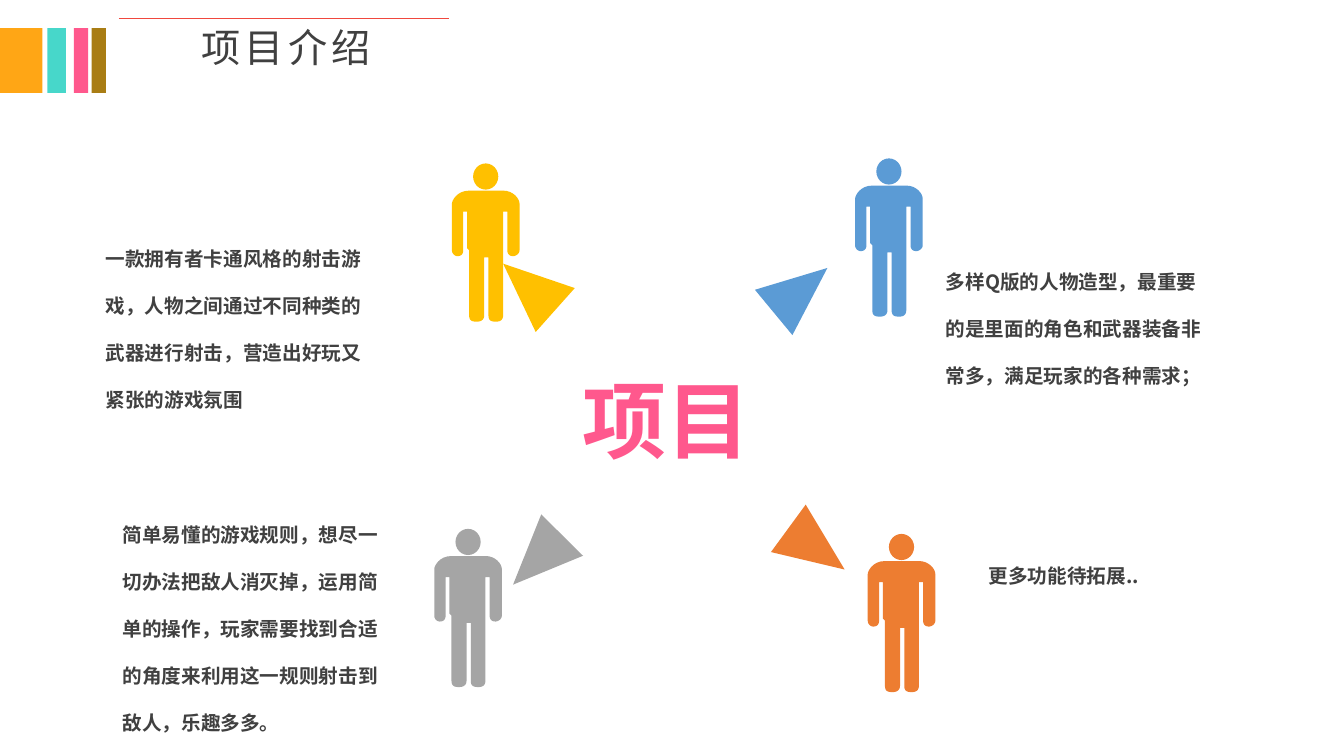
from dataclasses import dataclass

from lxml import etree
from pptx import Presentation
from pptx import util as u
from pptx.dml.color import RGBColor
from pptx.enum import shapes, text
from pptx.oxml.ns import qn
from pptx.shapes.autoshape import Shape
from pptx.slide import Slide

# The slide is a grid of 160 columns by 90 rows of square cells.
SLIDE_WIDTH, SLIDE_HEIGHT = u.Inches(13.33), u.Inches(7.5)
COLUMNS, ROWS = 160, 90


@dataclass(frozen=True)
class Theme:
    ink: str = "404040"
    pink: str = "FF588D"
    amber: str = "FFA615"
    teal: str = "47D7CA"
    brown: str = "A97D14"
    rule: str = "F0483E"
    yellow: str = "FFC000"
    gray: str = "A5A5A5"
    blue: str = "5B9BD5"
    orange: str = "ED7D31"
    title_size: float = 28
    center_size: float = 60
    body_size: float = 14
    body_leading: float = 33.6
    title_tracking: float = 3
    title_font: str = "Noto Sans CJK SC"
    body_font: str = "Noto Sans CJK JP"
    center_font: str = "Calibri"


@dataclass(frozen=True)
class Box:
    column: float
    row: float
    columns: float
    rows: float

    def lengths(self) -> tuple[int, int, int, int]:
        return across(self.column), down(self.row), across(self.columns), down(self.rows)


@dataclass(frozen=True)
class Stripe:
    column: float
    columns: float
    color: str


@dataclass(frozen=True)
class Label:
    wording: str
    box: Box
    size: float
    font: str
    color: str
    bold: bool = True
    centered: bool = False
    leading: float | None = None
    tracking: float = 0


@dataclass(frozen=True)
class Feature:
    """A person, the triangle beside it, and its description."""
    color: str
    person: tuple[float, float]
    triangle: tuple[float, float]
    rotation: float
    wording: str
    box: Box


Point = tuple[float, float]
THEME = Theme()
STRIPE_ROW, STRIPE_ROWS = 3.36, 7.7
TRIANGLE_COLUMNS, TRIANGLE_ROWS = 7, 8.3
HEAD = Box(2.52, -3.24, 3, 3.12)
CURVE_STEPS = 8

STRIPES = [
    Stripe(0, 5.04, THEME.amber),
    Stripe(5.64, 2.2, THEME.teal),
    Stripe(8.8, 1.7, THEME.pink),
    Stripe(10.9, 1.7, THEME.brown),
]

FEATURES = [
    Feature(THEME.yellow, (53.8, 22.7), (59.5, 30), 311.7,
            "一款拥有者卡通风格的射击游戏，人物之间通过不同种类的武器进行射击，营造出好玩又紧张的游戏氛围",
            Box(11.4, 26, 33, 23.3)),
    Feature(THEME.gray, (51.7, 66.2), (60.5, 62.5), 224.7,
            "简单易懂的游戏规则，想尽一切办法把敌人消灭掉，运用简单的操作，玩家需要找到合适的角度来利用这一规则射击到敌人，乐趣多多。",
            Box(13.4, 58.9, 33, 28.9)),
    Feature(THEME.blue, (101.8, 22.1), (91.8, 30.4), 50.4,
            "多样Q版的人物造型，最重要的是里面的角色和武器装备非常多，满足玩家的各种需求；",
            Box(111.4, 28.8, 33, 17.5)),
    Feature(THEME.orange, (103.3, 66.8), (93.7, 61.2), 126.2,
            "更多功能待拓展..", Box(116.5, 63.8, 33, 6.1)),
]

HEADINGS = [
    Label("项目", Box(61.4, 43.3, 35.8, 13.3), THEME.center_size,
          THEME.center_font, THEME.pink, centered=True),
    Label("项目介绍", Box(20.9, 2.16, 26.3, 6.84), THEME.title_size, THEME.title_font,
          THEME.ink, bold=False, centered=True, tracking=THEME.title_tracking),
]

# Each step is one point for a straight edge, or three for a Bézier curve.
BODY_START: Point = (6.1, 0)
BODY_STEPS: list[tuple[Point, ...]] = [
    ((2.05, 0),), ((0.6, 0), (0, 1.2), (0, 1.55)),
    ((0, 7.1),), ((0, 7.55), (0.4, 7.8), (0.65, 7.8)), ((1.1, 7.8), (1.35, 7.55), (1.35, 7.1)),
    ((1.35, 2.5),), ((1.8, 2.5),), ((1.8, 6.85),), ((2.05, 7.1),),
    ((2.05, 14.8),), ((2.05, 15.45), (2.3, 15.6), (2.95, 15.6)),
    ((3.4, 15.6), (3.85, 15.45), (3.85, 14.8)),
    ((3.85, 7.95),), ((4.35, 7.95),),
    ((4.35, 14.8),), ((4.35, 15.45), (4.6, 15.6), (5.25, 15.6)),
    ((5.7, 15.6), (6.1, 15.45), (6.1, 14.8)),
    ((6.1, 2.5),), ((6.6, 2.5),),
    ((6.6, 7.1),), ((6.6, 7.55), (6.85, 7.8), (7.3, 7.8)), ((7.55, 7.8), (8.05, 7.55), (8.05, 7.1)),
    ((8.05, 1.55),), ((8.05, 0.95), (7.3, 0), (6.1, 0)),
]


def across(columns: float) -> int:
    return round(SLIDE_WIDTH * columns / COLUMNS)


def down(rows: float) -> int:
    return round(SLIDE_HEIGHT * rows / ROWS)


def paint(shape: Shape, color: str) -> None:
    shape.shadow.inherit = False
    shape.fill.solid()
    shape.fill.fore_color.rgb = RGBColor.from_string(color)
    shape.line.fill.background()


def body_outline() -> list[Point]:
    """Turn the body's steps into points, with curves sampled evenly."""
    points = [BODY_START]
    for step in BODY_STEPS:
        if len(step) == 1:
            points.append(step[0])
            continue
        controls = (points[-1], *step)
        for index in range(1, CURVE_STEPS + 1):
            t = index / CURVE_STEPS
            weights = ((1 - t) ** 3, 3 * t * (1 - t) ** 2, 3 * t * t * (1 - t), t ** 3)
            points.append((sum(w * p[0] for w, p in zip(weights, controls)),
                           sum(w * p[1] for w, p in zip(weights, controls))))
    return points


def draw_person(slide: Slide, column: float, row: float, color: str) -> None:
    group = slide.shapes.add_group_shape()
    points = [(across(column + x), down(row + y)) for x, y in body_outline()]
    builder = group.shapes.build_freeform(*points[0])
    builder.add_line_segments(points[1:], close=True)
    paint(builder.convert_to_shape(), color)
    head = Box(column + HEAD.column, row + HEAD.row, HEAD.columns, HEAD.rows)
    paint(group.shapes.add_shape(shapes.MSO_SHAPE.OVAL, *head.lengths()), color)


def draw_label(slide: Slide, label: Label) -> None:
    frame = slide.shapes.add_textbox(*label.box.lengths()).text_frame
    frame.word_wrap = True
    frame.auto_size = text.MSO_AUTO_SIZE.SHAPE_TO_FIT_TEXT
    paragraph = frame.paragraphs[0]
    paragraph.alignment = text.PP_ALIGN.CENTER if label.centered else text.PP_ALIGN.LEFT
    if label.leading:
        paragraph.line_spacing = u.Pt(label.leading)
    run = paragraph.add_run()
    run.text = label.wording
    run.font.size = u.Pt(label.size)
    run.font.bold = label.bold
    run.font.name = label.font
    run.font.color.rgb = RGBColor.from_string(label.color)
    properties = run.font._element
    etree.SubElement(properties, qn("a:ea"), typeface=label.font)
    if label.tracking:
        properties.set("spc", str(round(label.tracking * 100)))


def draw_header(slide: Slide) -> None:
    rule = slide.shapes.add_connector(shapes.MSO_CONNECTOR.STRAIGHT,
                                      across(14.16), down(2.16), across(53.5), down(2.16))
    rule.line.color.rgb = RGBColor.from_string(THEME.rule)
    rule.line.width = u.Pt(0.75)
    etree.SubElement(rule._element.spPr, qn("a:effectLst"))
    for stripe in STRIPES:
        box = Box(stripe.column, STRIPE_ROW, stripe.columns, STRIPE_ROWS)
        paint(slide.shapes.add_shape(shapes.MSO_SHAPE.RECTANGLE, *box.lengths()), stripe.color)


def draw_feature(slide: Slide, feature: Feature) -> None:
    box = Box(*feature.triangle, TRIANGLE_COLUMNS, TRIANGLE_ROWS)
    triangle = slide.shapes.add_shape(shapes.MSO_SHAPE.ISOSCELES_TRIANGLE, *box.lengths())
    triangle.rotation = feature.rotation
    paint(triangle, feature.color)
    draw_person(slide, *feature.person, feature.color)
    draw_label(slide, Label(feature.wording, feature.box, THEME.body_size, THEME.body_font,
                            THEME.ink, leading=THEME.body_leading))


def main() -> None:
    presentation = Presentation()
    presentation.slide_width, presentation.slide_height = SLIDE_WIDTH, SLIDE_HEIGHT
    slide = presentation.slides.add_slide(presentation.slide_layouts[6])
    draw_header(slide)
    for feature in FEATURES:
        draw_feature(slide, feature)
    for heading in HEADINGS:
        draw_label(slide, heading)
    presentation.save("out.pptx")


if __name__ == "__main__":
    main()
